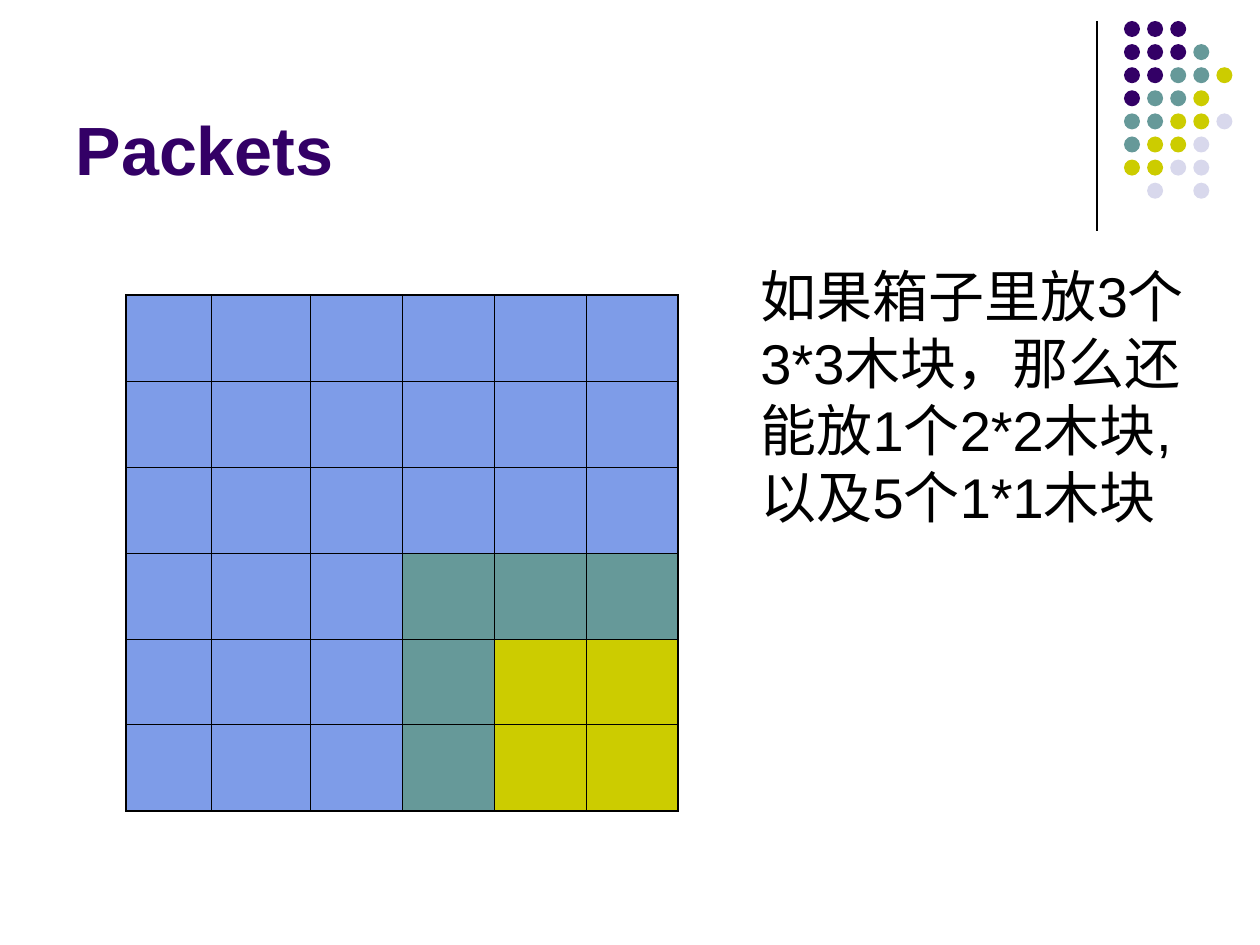
from lxml.etree import SubElement
from pptx import Presentation
from pptx.dml.color import RGBColor
from pptx.enum.shapes import MSO_CONNECTOR as CONNECTOR, MSO_SHAPE as SHAPE
from pptx.enum.text import MSO_ANCHOR as ANCHOR, MSO_AUTO_SIZE as AUTO_SIZE, PP_ALIGN as ALIGN
from pptx.oxml.ns import qn
from pptx.util import Emu, Pt

EMU_PER_PX = 914400 / 126
BLACK = RGBColor(0x00, 0x00, 0x00)
PURPLE = RGBColor(0x33, 0x00, 0x66)
TEAL = RGBColor(0x66, 0x99, 0x99)
OLIVE = RGBColor(0xCC, 0xCC, 0x00)
LILAC = RGBColor(0xD8, 0xD8, 0xEC)
BLUE = RGBColor(0x7E, 0x9C, 0xE8)
COLORS = {"P": PURPLE, "T": TEAL, "O": OLIVE, "L": LILAC, "B": BLUE}


def px(*lengths):
    return [Emu(round(length * EMU_PER_PX)) for length in lengths]


def add_span(para, text, size, color, bold=False):
    span = para.add_run()
    span.text = text
    span.font.name = "Arial"
    span.font.size = Pt(size)
    span.font.bold = bold
    span.font.color.rgb = color


deck = Presentation()
deck.slide_width, deck.slide_height = px(1260, 945)
page = deck.slides.add_slide(deck.slide_layouts[5])

# Vertical rule
rule = page.shapes.add_connector(CONNECTOR.STRAIGHT, *px(1097, 21, 1097, 231))
rule.line.color.rgb = BLACK
rule.line.width = Pt(0.75)
SubElement(rule._element.spPr, qn("a:effectLst"))

# Dot pattern
DOTS = ["PPP", "PPPT", "PPTTO", "PTTO", "TTOOL", "TOOL", "OOLL", " L L"]
DOT_PITCH = 23.1
for row, codes in enumerate(DOTS):
    for col, code in enumerate(codes):
        if code == " ":
            continue
        dot = page.shapes.add_shape(
            SHAPE.OVAL, *px(1124 + col * DOT_PITCH, 21 + row * DOT_PITCH, 16, 16))
        dot.shadow.inherit = False
        dot.fill.solid()
        dot.fill.fore_color.rgb = COLORS[code]
        dot.line.fill.background()

# Title
title = page.shapes.title
title.left, title.top, title.width, title.height = px(63, 16, 1040, 179)
frame = title.text_frame
frame.auto_size = AUTO_SIZE.NONE
frame.vertical_anchor = ANCHOR.BOTTOM
para = frame.paragraphs[0]
para.alignment = ALIGN.LEFT
add_span(para, "Packets", 39, PURPLE, bold=True)

# Box grid: three 3*3 blocks, one 2*2 block, five 1*1 blocks
GRID = ["BBBBBB"] * 3 + ["BBBTTT"] + ["BBBTOO"] * 2
COL_WIDTHS = px(85, 99, 92, 92, 92, 92)
ROW_HEIGHT = 86
last = len(GRID) - 1
table_frame = page.shapes.add_table(
    len(GRID), len(COL_WIDTHS), *px(126, 295, sum((85, 99, 92, 92, 92, 92)), ROW_HEIGHT * len(GRID)))
table = table_frame.table
table.first_row = False
table.horz_banding = False
for column, width in zip(table.columns, COL_WIDTHS):
    column.width = width
for row, codes in enumerate(GRID):
    table.rows[row].height = px(ROW_HEIGHT)[0]
    for col, code in enumerate(codes):
        cell = table.cell(row, col)
        properties = cell._tc.get_or_add_tcPr()
        outer_edges = {"L": col == 0, "R": col == last, "T": row == 0, "B": row == last}
        for side, outer in outer_edges.items():
            border = SubElement(properties, qn(f"a:ln{side}"), w=str(Pt(1.08 if outer else 0.45)))
            fill = SubElement(border, qn("a:solidFill"))
            SubElement(fill, qn("a:srgbClr"), val=str(BLACK))
        cell.fill.solid()
        cell.fill.fore_color.rgb = COLORS[code]

# Explanation
note = page.shapes.add_textbox(*px(748, 255, 456, 349))
note.text_frame.word_wrap = True
add_span(note.text_frame.paragraphs[0],
         "如果箱子里放3个3*3木块，那么还能放1个2*2木块,以及5个1*1木块", 32, BLACK)

deck.save("out.pptx")
